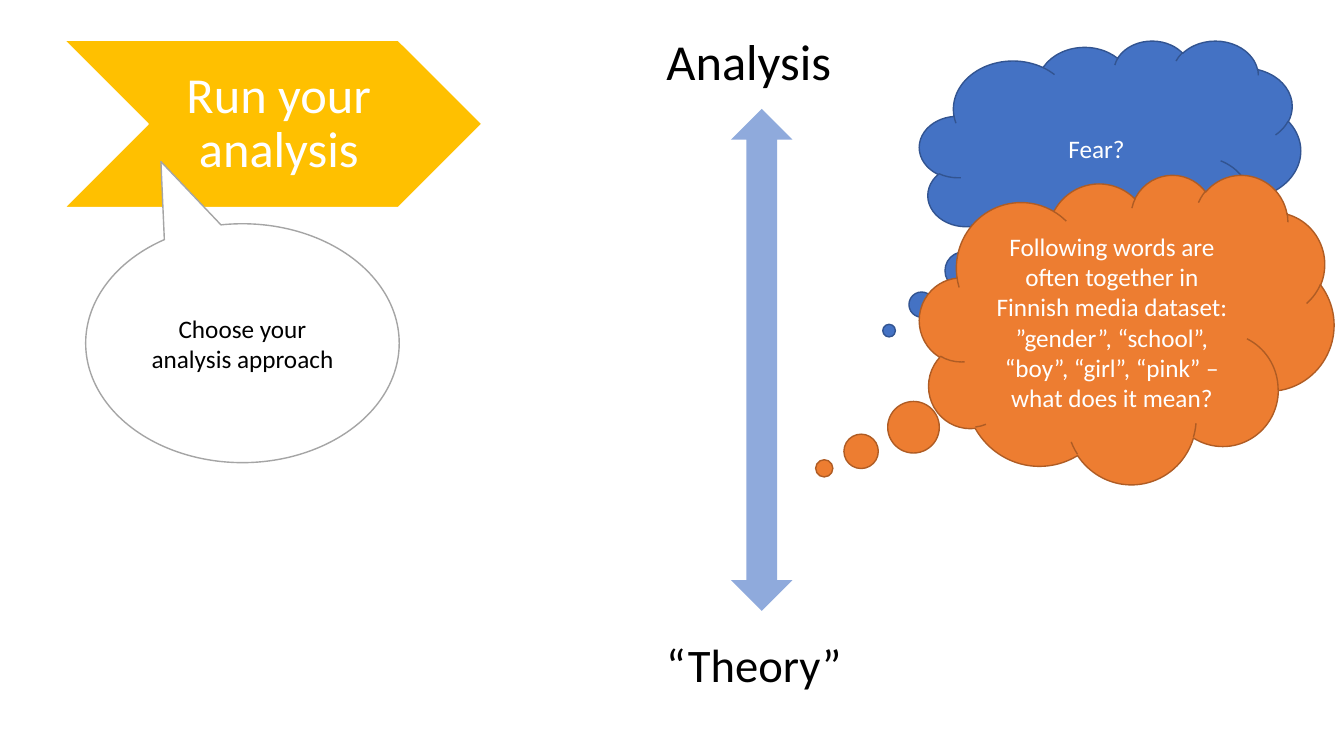
from pptx import Presentation
from pptx.dml.color import RGBColor
from pptx.enum.shapes import MSO_SHAPE as SHAPE
from pptx.enum.text import MSO_ANCHOR as ANCHOR, MSO_AUTO_SIZE as AUTOSIZE, PP_ALIGN as ALIGN
from pptx.oxml.ns import qn
from pptx.util import Inches, Pt

W, H = 13.33, 7.5
FONT = "Calibri"
COLORS = {
    "white": "FFFFFF", "black": "000000", "gold": "FFC000", "gray": "A5A5A5",
    "arrow": "8FAADC", "blue": "4472C4", "blue_edge": "325491",
    "orange": "ED7D31", "orange_edge": "AF5C24",
}
TOP = 0.4
LABEL_X, LABEL_W, LABEL_H = 6.51, 2.03, 0.77
LABELS = {"analysis": ("Analysis", 0.32, 36), "theory": ("“Theory”", 6.32, 33.3)}
CLOUD_X = 9.12
ARROW_W = 0.61

STEP = dict(kind=SHAPE.CHEVRON, box=(0.64, TOP, 4.14, 1.66), fill="gold", line="white",
            text="Run your analysis", size=36, spacing=0.9, insets=(0.16, 0.1, 0.05, 0.1))
SHAPES = [
    STEP,
    dict(kind=SHAPE.OVAL_CALLOUT, box=(0.85, 2.22, 3.11, 2.37), adj=(-0.26, -0.76),
         fill="white", line="gray", text="Choose your analysis approach", color="black"),
    dict(kind=SHAPE.UP_DOWN_ARROW, fill="arrow",
         box=(LABEL_X + (LABEL_W - ARROW_W) / 2 + 0.03, 1.08, ARROW_W, 4.98)),
    dict(kind=SHAPE.CLOUD_CALLOUT, box=(CLOUD_X, TOP, 3.78, 2.25), adj=(-0.58, 0.78),
         fill="blue", line="blue_edge", text="Fear?"),
    dict(kind=SHAPE.CLOUD_CALLOUT, box=(CLOUD_X, 1.73, 4.11, 3.07), adj=(-0.73, 0.45),
         fill="orange", line="orange_edge",
         text="Following words are often together in Finnish media dataset: "
              "”gender”, “school”, “boy”, “girl”, “pink” – what does it mean?"),
]


def rgb(name):
    return RGBColor.from_string(COLORS[name])


def place(sp, box):
    sp.left, sp.top, sp.width, sp.height = map(Inches, box)


def write(sp, text, size=18, color="white", align=ALIGN.CENTER, anchor=ANCHOR.MIDDLE,
          spacing=1.0, insets=(0.1, 0.05, 0.1, 0.05)):
    tf = sp.text_frame
    tf.word_wrap = True
    tf.auto_size = AUTOSIZE.NONE
    tf.vertical_anchor = anchor
    tf.margin_left, tf.margin_top, tf.margin_right, tf.margin_bottom = map(Inches, insets)
    p = tf.paragraphs[0]
    p.alignment, p.line_spacing, p.space_before = align, spacing, Pt(0)
    r = p.add_run()
    r.text = text
    r.font.name, r.font.size = FONT, Pt(size)
    r.font.color.rgb = rgb(color)
    return p


def draw(slide, kind, box, fill, line=None, adj=(), text=None, **fmt):
    sp = slide.shapes.add_shape(kind, *map(Inches, box))
    sp.shadow.inherit = False
    for i, value in enumerate(adj):
        sp.adjustments[i] = value
    sp.fill.solid()
    sp.fill.fore_color.rgb = rgb(fill)
    if line:
        sp.line.color.rgb = rgb(line)
        sp.line.width = Pt(1)
    else:
        sp.line.fill.background()
    if text:
        write(sp, text, **fmt)


def label(sp, name):
    text, top, size = LABELS[name]
    place(sp, (LABEL_X, top, LABEL_W, LABEL_H))
    return write(sp, text, size=size, color="black", align=ALIGN.LEFT,
                 anchor=ANCHOR.TOP, spacing=0.9)


def main():
    prs = Presentation()
    prs.slide_width, prs.slide_height = Inches(W), Inches(H)
    slide = prs.slides.add_slide(prs.slide_layouts[1])
    title = slide.shapes.title
    title.element.getparent().remove(title.element)

    p = label(slide.placeholders[1], "analysis")
    pPr = p._p.get_or_add_pPr()
    pPr.set("marL", "0")
    pPr.set("indent", "0")
    pPr.append(pPr.makeelement(qn("a:buNone"), {}))
    label(slide.shapes.add_textbox(0, 0, 0, 0), "theory")

    for shape in SHAPES:
        draw(slide, **shape)
    prs.save("out.pptx")


if __name__ == "__main__":
    main()
